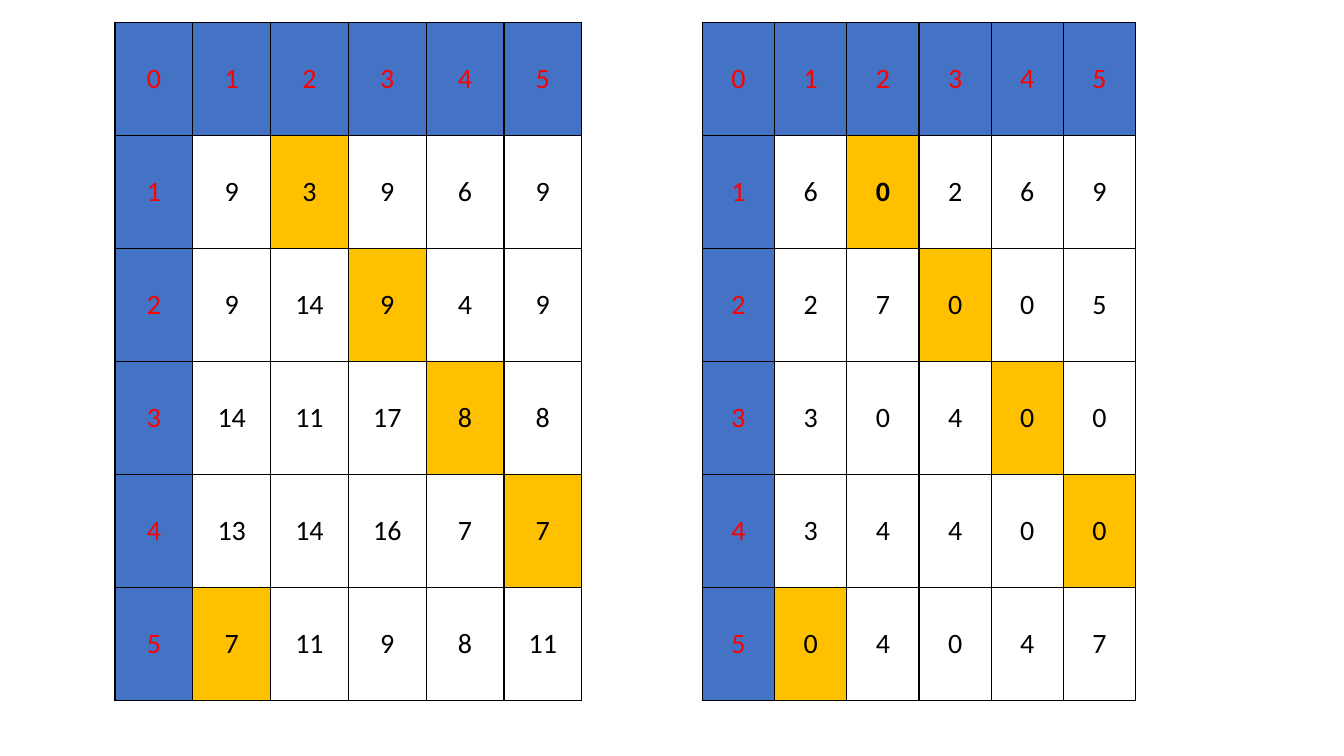
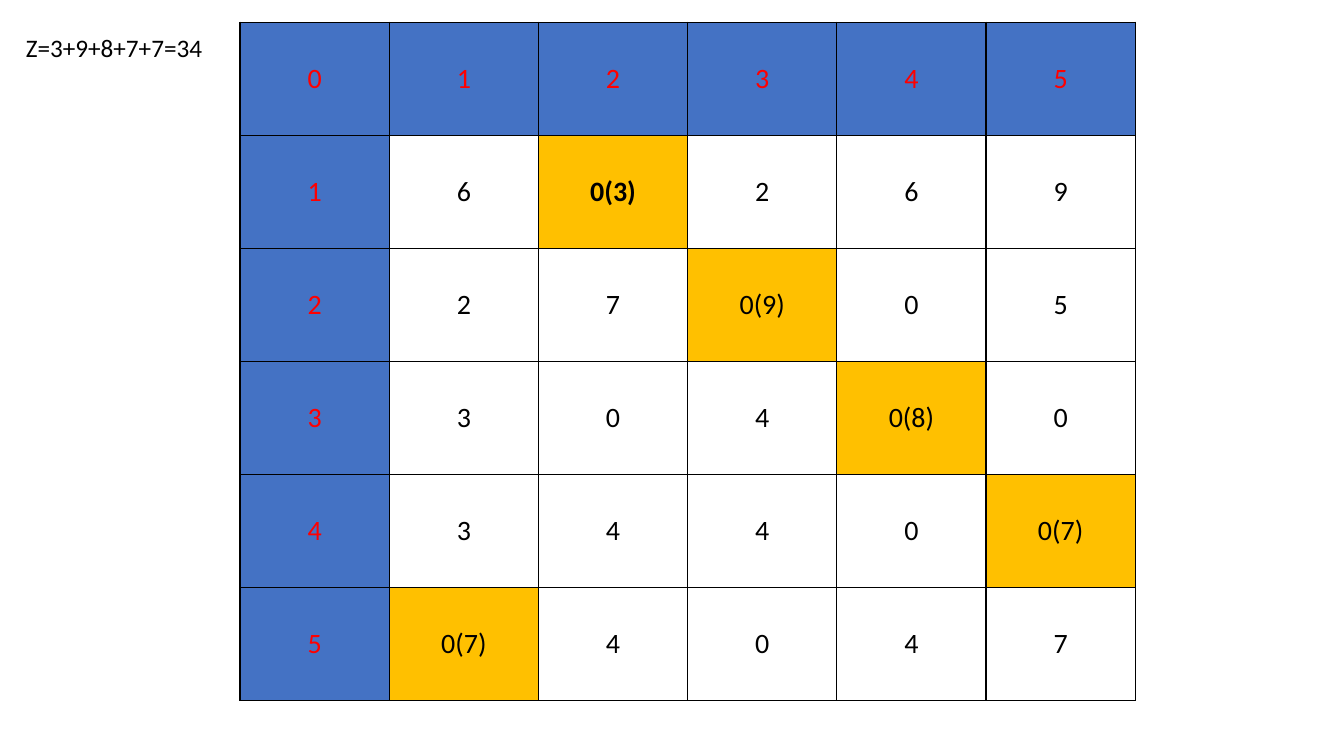
from lxml.etree import SubElement
from pptx import Presentation
from pptx.dml.color import RGBColor
from pptx.enum.text import MSO_ANCHOR, PP_ALIGN
from pptx.oxml.ns import qn
from pptx.util import Cm, Pt

COSTS = [
    [9, 3, 9, 6, 9],
    [9, 14, 9, 4, 9],
    [14, 11, 17, 8, 8],
    [13, 14, 16, 7, 7],
    [7, 11, 9, 8, 11],
]
ZEROS = [
    [6, 0, 2, 6, 9],
    [2, 7, 0, 0, 5],
    [3, 0, 4, 0, 0],
    [3, 4, 4, 0, 0],
    [0, 4, 0, 4, 7],
]
PICKS = {(1, 2), (2, 3), (3, 4), (4, 5), (5, 1)}


def write(frame, text, size=20, color="000000", bold=False, align=PP_ALIGN.LEFT, face="Calibri"):
    line = frame.paragraphs[0]
    line.alignment = align
    run = line.add_run()
    run.text = text
    run.font.name = face
    run.font.size = Pt(size)
    run.font.bold = bold
    run.font.color.rgb = RGBColor.from_string(color)


class Deck:
    """Hold the shared style and the current slide."""

    colors = {"head": "4472C4", "pick": "FFC000", "label": "FF0000", "ink": "000000"}
    top = 0.56
    row = 2.85

    def __init__(self):
        self.prs = Presentation()
        self.prs.slide_width = Cm(33.87)
        self.prs.slide_height = Cm(19.05)

    def page(self):
        self.slide = self.prs.slides.add_slide(self.prs.slide_layouts[6])

    def border(self, cell):
        props = cell._tc.get_or_add_tcPr()
        for side in ("a:lnL", "a:lnR", "a:lnT", "a:lnB"):
            edge = SubElement(props, qn(side), w=str(Pt(1)))
            fill = SubElement(edge, qn("a:solidFill"))
            SubElement(fill, qn("a:srgbClr"), val=self.colors["ink"])

    def cell(self, cell, text, fill=None, **style):
        self.border(cell)
        if fill:
            cell.fill.solid()
            cell.fill.fore_color.rgb = RGBColor.from_string(self.colors[fill])
        else:
            cell.fill.background()
        cell.vertical_anchor = MSO_ANCHOR.MIDDLE
        write(cell.text_frame, text, align=PP_ALIGN.CENTER, **style)

    def grid(self, left, width, values, strong=None, costs=None):
        count = len(values) + 1
        frame = self.slide.shapes.add_table(
            count, count, Cm(left), Cm(self.top), Cm(width * count), Cm(self.row * count))
        table = frame.table
        table.horz_banding = False
        table.first_row = False
        for r in range(count):
            table.rows[r].height = Cm(self.row)
            table.columns[r].width = Cm(width)
            for c in range(count):
                spot = table.cell(r, c)
                if r == 0 or c == 0:
                    self.cell(spot, str(r + c), "head", color=self.colors["label"])
                    continue
                text = str(values[r - 1][c - 1])
                picked = (r, c) in PICKS
                if picked and costs:
                    text += f"({costs[r - 1][c - 1]})"
                self.cell(spot, text, "pick" if picked else None, bold=(r, c) == strong)

    def note(self, left, top, width, height, text, **style):
        box = self.slide.shapes.add_textbox(Cm(left), Cm(top), Cm(width), Cm(height))
        box.text_frame.word_wrap = True
        write(box.text_frame, text, **style)


def main():
    deck = Deck()
    deck.page()
    deck.grid(2.9, 1.96, COSTS)
    deck.grid(17.7, 1.82, ZEROS, strong=(1, 2))
    deck.page()
    deck.grid(6.05, 3.76, ZEROS, strong=(1, 2), costs=COSTS)
    deck.note(0.4, 0.7, 16.94, 1.02, "Z=3+9+8+7+7=34", size=18)
    deck.prs.save("out.pptx")


if __name__ == "__main__":
    main()
